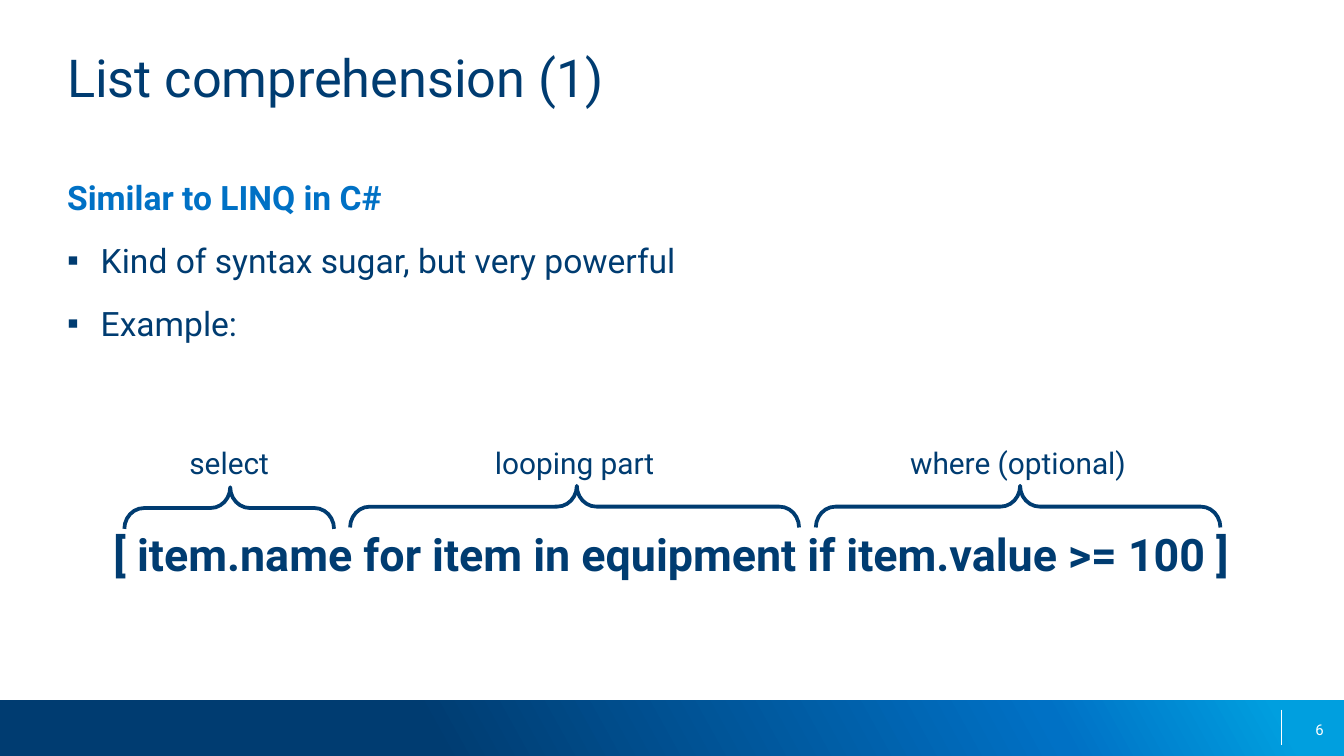
from dataclasses import dataclass

from lxml import etree
from pptx import Presentation
from pptx.dml.color import RGBColor
from pptx.enum.shapes import MSO_CONNECTOR, MSO_SHAPE
from pptx.enum.text import MSO_ANCHOR, PP_ALIGN
from pptx.oxml.ns import qn
from pptx.util import Inches, Pt

LEFT, MID, RIGHT = PP_ALIGN.LEFT, PP_ALIGN.CENTER, PP_ALIGN.RIGHT
TOP, HALF = MSO_ANCHOR.TOP, MSO_ANCHOR.MIDDLE
RECT, BRACE = MSO_SHAPE.RECTANGLE, MSO_SHAPE.LEFT_BRACE
LINE = MSO_CONNECTOR.STRAIGHT
COLS, ROWS, CELL = 100, 56.25, 0.1


@dataclass(frozen=True)
class Theme:
    """Colours, fonts and type sizes of the slide."""
    face: str = "Roboto"
    mark: str = "Arial"
    navy: str = "003C71"
    blue: str = "0071C5"
    sky: str = "009FDF"
    white: str = "FFFFFF"
    title: int = 28
    code: int = 24
    body: int = 18
    label: int = 16
    page: int = 8


THEME = Theme()


def grid(*cells):
    """Turn counts of grid cells into lengths."""
    return [Inches(n * CELL) for n in cells]


def rgb(tone):
    """Read a hex colour."""
    return RGBColor.from_string(tone)


def apply(item, form):
    """Set each attribute of a dict on an object."""
    for key, value in form.items():
        setattr(item, key, value)


def add_node(host, tag, **attrs):
    """Append an XML child with attributes."""
    node = etree.SubElement(host, qn(tag))
    for key, value in attrs.items():
        node.set(key, str(value))
    return node


def add_item(para, text, size, tone=THEME.navy, bold=False, bullet=False):
    """Fill one paragraph, with a square bullet if asked."""
    para.text = text
    if bullet:
        props = para._p.get_or_add_pPr()
        apply(para, {"level": 1, "space_before": Pt(12)})
        indent = Inches(0.25)
        props.set("marL", str(indent))
        props.set("indent", str(-indent))
        add_node(props, "a:buFont", typeface=THEME.mark)
        add_node(props, "a:buChar", char="▪")
    font = para.runs[0].font
    apply(font, {"name": THEME.face, "size": Pt(size), "bold": bold})
    font.color.rgb = rgb(tone)


def add_text(slide, box, items, align=LEFT, anchor=TOP):
    """Place a text box with one paragraph per item."""
    frame = slide.shapes.add_textbox(*grid(*box)).text_frame
    apply(frame, {"word_wrap": True, "vertical_anchor": anchor,
                  "margin_left": 0, "margin_right": 0,
                  "margin_top": 0, "margin_bottom": 0})
    for pos, item in enumerate(items):
        para = frame.add_paragraph() if pos else frame.paragraphs[0]
        para.alignment = align
        add_item(para, **item)


def add_band(slide, box, stops, angle):
    """Place a bar with a gradient of several stops."""
    bar = slide.shapes.add_shape(RECT, *grid(*box))
    bar.shadow.inherit = False
    bar.line.fill.background()
    bar.fill.gradient()
    fill = bar._element.spPr.find(qn("a:gradFill"))
    for node in list(fill):
        fill.remove(node)
    ramp = add_node(fill, "a:gsLst")
    for share, tone in stops:
        stop = add_node(ramp, "a:gs", pos=share * 1000)
        add_node(stop, "a:srgbClr", val=tone)
    add_node(fill, "a:lin", ang=angle * 60000, scaled=0)


def add_rule(slide, ends, tone, width):
    """Draw a thin straight line."""
    rule = slide.shapes.add_connector(LINE, *grid(*ends))
    rule.line.color.rgb = rgb(tone)
    rule.line.width = Pt(width)
    add_node(rule._element.spPr, "a:effectLst")


def add_brace(slide, mid, row, span, depth=3.1):
    """Draw a brace that opens down over a span of columns."""
    box = grid(mid - depth / 2, row - span / 2, depth, span)
    brace = slide.shapes.add_shape(BRACE, *box)
    brace.rotation = 90
    brace.shadow.inherit = False
    brace.adjustments[0] = 0.47
    brace.adjustments[1] = 0.99 / 2
    brace.fill.background()
    brace.line.color.rgb = rgb(THEME.navy)
    brace.line.width = Pt(2)


def add_part(slide, text, mid, span, row):
    """Name a part of the code and bracket it."""
    wide = 18.9
    add_text(slide, (mid - wide / 2, 33.1, wide, 2.7),
             [{"text": text, "size": THEME.label}], MID)
    add_brace(slide, mid, row, span)


def main():
    """Build and save the slide."""
    deck = Presentation()
    deck.slide_width, deck.slide_height = grid(COLS, ROWS)
    slide = deck.slides.add_slide(deck.slide_layouts[6])

    add_band(slide, (0, 52.1, COLS, ROWS - 52.1),
             [(32, THEME.navy), (78, THEME.blue), (95, THEME.sky)], 331)
    add_rule(slide, (95.35, 52.8, 95.35, 55.4), THEME.white, 0.75)
    add_text(slide, (75.2, 52.8, 23.3, 3),
             [{"text": "6", "size": THEME.page, "tone": THEME.white}],
             RIGHT, HALF)

    add_text(slide, (5, 3.4, 90, 9.5),
             [{"text": "List comprehension (1)", "size": THEME.title}])
    points = ["Kind of syntax sugar, but very powerful", "Example:"]
    add_text(slide, (5, 13.2, 90, 13.3),
             [{"text": "Similar to LINQ in C#", "size": THEME.body,
               "tone": THEME.blue, "bold": True}]
             + [{"text": text, "size": THEME.body, "bullet": True}
                for text in points])

    code = "[ item.name for item in equipment if item.value >= 100 ]"
    add_text(slide, (2.9, 39.2, 94.1, 4),
             [{"text": code, "size": THEME.code, "bold": True}], MID)
    parts = [("select", 17.05, 15.6, 37.8),
             ("looping part", 42.75, 33.4, 37.7),
             ("where (optional)", 75.75, 30.1, 37.7)]
    for part in parts:
        add_part(slide, *part)

    deck.save("out.pptx")


if __name__ == "__main__":
    main()
